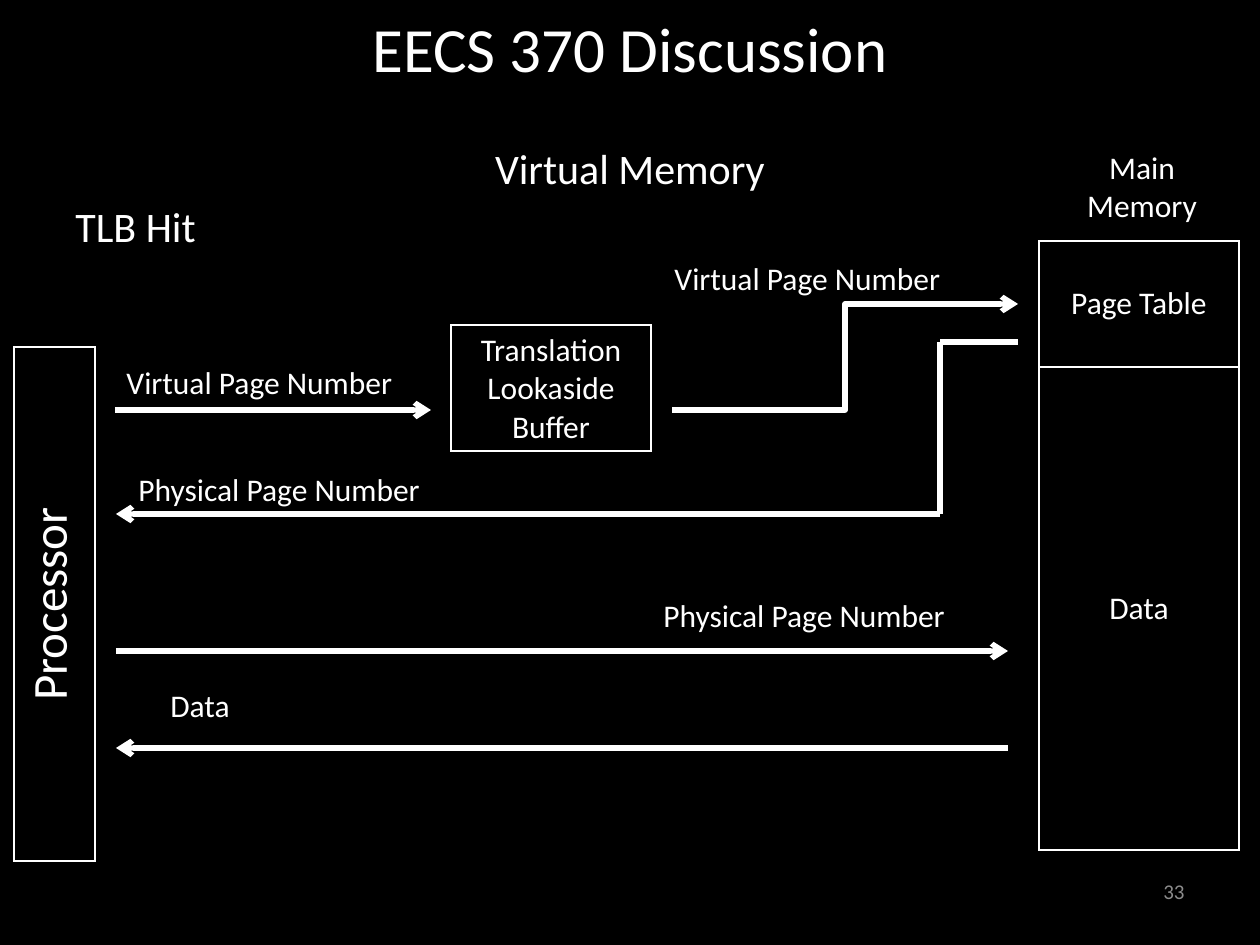
from dataclasses import dataclass

from lxml.etree import SubElement
from pptx import Presentation
from pptx.dml.color import RGBColor
from pptx.enum.shapes import MSO_CONNECTOR
from pptx.enum.text import MSO_ANCHOR, PP_ALIGN
from pptx.oxml import parse_xml
from pptx.oxml.ns import nsdecls, qn
from pptx.util import Emu, Pt

COLORS = {"background": "000000", "ink": "FFFFFF", "muted": "8C8C8C"}
FONT = "Calibri"
LEFT, CENTER, RIGHT = PP_ALIGN.LEFT, PP_ALIGN.CENTER, PP_ALIGN.RIGHT
TOP, MIDDLE = MSO_ANCHOR.TOP, MSO_ANCHOR.MIDDLE


@dataclass
class Line:
    text: str
    align: PP_ALIGN = LEFT
    size: int = 18
    color: str = "ink"
    before: float = 0


@dataclass
class Label:
    left: int
    top: int
    width: int
    height: int
    lines: list[Line]
    anchor: MSO_ANCHOR = TOP


@dataclass
class Block:
    left: int
    top: int
    width: int
    rows: list[tuple[str, int]]
    size: int = 18
    anchor: MSO_ANCHOR = MIDDLE
    vertical: bool = False


@dataclass
class Flow:
    start: tuple[int, int]
    end: tuple[int, int]
    arrow: bool = True
    kind: MSO_CONNECTOR = MSO_CONNECTOR.STRAIGHT


LABELS = [
    Label(63, -32, 1134, 158, [Line("EECS 370 Discussion", CENTER, 36)], MIDDLE),
    Label(63, 136, 1134, 746, [Line("Virtual Memory", CENTER, 24, before=4.8),
                               Line("TLB Hit", LEFT, 24, before=4.8)]),
    Label(903, 866, 294, 50, [Line("33", RIGHT, 12, "muted")], MIDDLE),
    Label(114, 357, 294, 50, [Line("Virtual Page Number")]),
    Label(662, 253, 336, 50, [Line("Virtual Page Number")]),
    Label(1050, 142, 184, 89, [Line("Main Memory", CENTER)]),
    Label(126, 464, 336, 50, [Line("Physical Page Number")]),
    Label(651, 590, 336, 50, [Line("Physical Page Number")]),
    Label(158, 680, 136, 50, [Line("Data")]),
]
BLOCKS = [
    Block(451, 325, 200, [("Translation Lookaside Buffer", 126)], anchor=TOP),
    Block(1039, 241, 200, [("Page Table", 126), ("Data", 483)]),
    Block(14, 347, 81, [("Processor", 514)], size=28, vertical=True),
]
FLOWS = [
    Flow((115, 410), (431, 410)),
    Flow((672, 410), (1018, 304), kind=MSO_CONNECTOR.ELBOW),
    Flow((1018, 342), (940, 342), arrow=False),
    Flow((940, 342), (940, 514), arrow=False),
    Flow((940, 514), (116, 514)),
    Flow((116, 651), (1008, 651)),
    Flow((1008, 748), (116, 748)),
]


def px(value: int) -> Emu:
    """Turn pixels into EMU."""
    return Emu(round(value * 914400 / 126))


def rgb(name: str) -> RGBColor:
    """Look up a named colour."""
    return RGBColor.from_string(COLORS[name])


def write(frame, lines: list[Line]) -> None:
    """Fill a text frame with formatted lines."""
    for index, line in enumerate(lines):
        para = frame.add_paragraph() if index else frame.paragraphs[0]
        para.alignment = line.align
        para.space_before = Pt(line.before)
        span = para.add_run()
        span.text = line.text
        span.font.name = FONT
        span.font.size = Pt(line.size)
        span.font.color.rgb = rgb(line.color)


def draw_label(page, label: Label) -> None:
    """Draw a text box."""
    box = page.shapes.add_textbox(px(label.left), px(label.top), px(label.width), px(label.height))
    box.text_frame.word_wrap = True
    box.text_frame.vertical_anchor = label.anchor
    write(box.text_frame, label.lines)


def draw_block(page, block: Block) -> None:
    """Draw an outlined one-column table."""
    height = sum(row_height for _, row_height in block.rows)
    frame = page.shapes.add_table(len(block.rows), 1, px(block.left), px(block.top),
                                  px(block.width), px(height))
    table = frame.table
    table.first_row = table.horz_banding = False
    for index, (text, row_height) in enumerate(block.rows):
        table.rows[index].height = px(row_height)
        cell = table.cell(index, 0)
        cell.vertical_anchor = block.anchor
        cell.fill.solid()
        cell.fill.fore_color.rgb = rgb("background")
        write(cell.text_frame, [Line(text, CENTER, block.size)])
        properties = cell._tc.get_or_add_tcPr()
        if block.vertical:
            properties.set("vert", "vert270")
        for place, side in enumerate("LRTB"):
            properties.insert(place, parse_xml(
                f'<a:ln{side} {nsdecls("a")} w="12700"><a:solidFill>'
                f'<a:srgbClr val="{COLORS["ink"]}"/></a:solidFill></a:ln{side}>'))


def draw_flow(page, flow: Flow) -> None:
    """Draw a connector with an optional arrowhead."""
    connector = page.shapes.add_connector(flow.kind, *map(px, flow.start + flow.end))
    connector.line.color.rgb = rgb("ink")
    connector.line.width = Pt(3)
    if flow.arrow:
        SubElement(connector.line._get_or_add_ln(), qn("a:tailEnd"), type="arrow")
    SubElement(connector._element.spPr, qn("a:effectLst"))


def main() -> None:
    """Build and save the slide."""
    deck = Presentation()
    deck.slide_width, deck.slide_height = px(1260), px(945)
    page = deck.slides.add_slide(deck.slide_layouts[6])
    page.background.fill.solid()
    page.background.fill.fore_color.rgb = rgb("background")
    for label in LABELS:
        draw_label(page, label)
    for block in BLOCKS:
        draw_block(page, block)
    for flow in FLOWS:
        draw_flow(page, flow)
    deck.save("out.pptx")


main()
